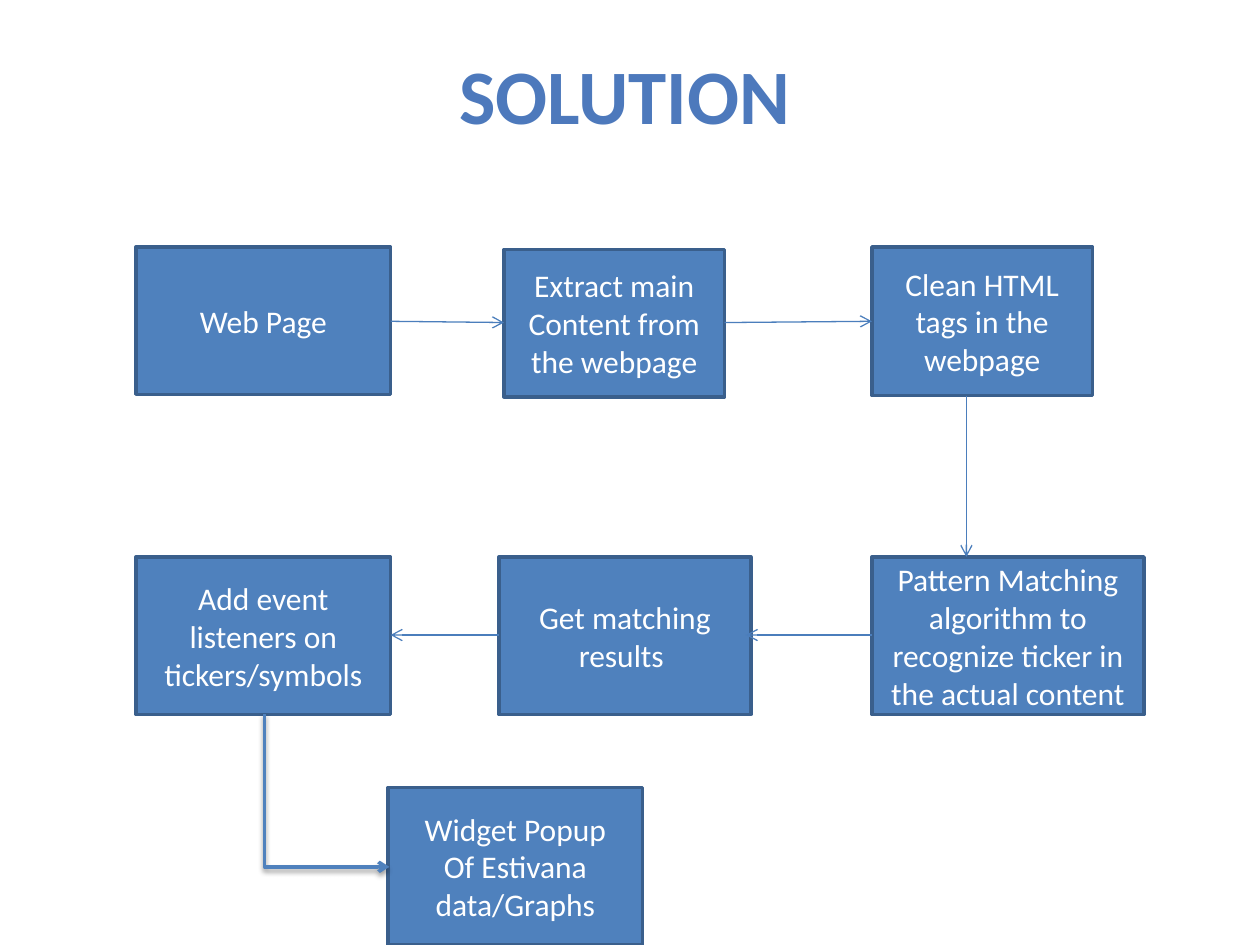
from lxml import etree
from pptx import Presentation
from pptx.dml.color import RGBColor
from pptx.enum.shapes import MSO_CONNECTOR as CONN, MSO_SHAPE as SHAPE
from pptx.enum.text import MSO_ANCHOR as ANCHOR, PP_ALIGN as ALIGN
from pptx.oxml.ns import qn
from pptx.util import Inches, Pt

BLUE = RGBColor(0x4F, 0x81, 0xBD)
EDGE = RGBColor(0x3A, 0x5F, 0x8C)
ARROW = RGBColor(0x4B, 0x7E, 0xBC)
WHITE = RGBColor(0xFF, 0xFF, 0xFF)
BLACK = RGBColor(0, 0, 0)
TITLE_STOPS = [(0, RGBColor(0x74, 0x94, 0xC9)), (49, RGBColor(0x4D, 0x79, 0xBC)),
               (50, RGBColor(0x34, 0x6A, 0xAA)), (92, RGBColor(0x32, 0x5F, 0x94)),
               (100, RGBColor(0x31, 0x5D, 0x91))]
TITLE_FONT = {"name": "Calibri", "size": Pt(44), "bold": True}
STEP_FONT = {"name": "Calibri", "size": Pt(18)}

TOP, BOTTOM = 1.96, 4.42
STEPS = [
    ((1.08, TOP, 2.02, 1.17), ["Web Page"]),
    ((4, 1.98, 1.75, 1.17), ["Extract main", "Content from the webpage"]),
    ((6.92, TOP, 1.75, 1.18), ["Clean HTML tags in the webpage"]),
    ((6.92, BOTTOM, 2.16, 1.25),
     ["Pattern Matching algorithm to recognize ticker in the actual content"]),
    ((3.96, BOTTOM, 2, 1.25), ["Get matching results "]),
    ((1.08, BOTTOM, 2.02, 1.25), ["Add event listeners on tickers/symbols"]),
    ((3.08, 6.25, 2.02, 1.25), ["Widget Popup", "Of Estivana data/Graphs"]),
]
ARROWS = [(3.1, 2.55, 4, 2.56), (5.75, 2.56, 6.92, 2.55), (7.67, 3.14, 7.67, 4.42),
          (6.92, 5.04, 5.92, 5.04), (3.96, 5.04, 3.1, 5.04)]


def add_text(tf, lines, font):
    """Fill a text frame with centred paragraphs and return the runs."""
    tf.word_wrap = True
    runs = []
    for i, line in enumerate(lines):
        p = tf.paragraphs[0] if i == 0 else tf.add_paragraph()
        p.alignment = ALIGN.CENTER
        r = p.add_run()
        r.text = line
        for key, value in font.items():
            setattr(r.font, key, value)
        runs.append(r)
    return runs


def add_title(slide, box, text):
    """Place the heading with its vertical gradient."""
    sp = slide.shapes.add_textbox(*map(Inches, box))
    r = add_text(sp.text_frame, [text], TITLE_FONT)[0]
    r.font.fill.gradient()
    r.font.fill.gradient_angle = 270
    stops = next(sp.element.iter(qn("a:gsLst")))
    for old in list(stops):
        stops.remove(old)
    for pos, color in TITLE_STOPS:
        gs = etree.SubElement(stops, qn("a:gs"), pos=str(pos * 1000))
        etree.SubElement(gs, qn("a:srgbClr"), val=str(color))


def add_step(slide, box, lines):
    """Place one process box with its label."""
    sp = slide.shapes.add_shape(SHAPE.RECTANGLE, *map(Inches, box))
    sp.shadow.inherit = False
    sp.fill.solid()
    sp.fill.fore_color.rgb = BLUE
    sp.line.color.rgb = EDGE
    sp.line.width = Pt(2)
    sp.text_frame.vertical_anchor = ANCHOR.MIDDLE
    for r in add_text(sp.text_frame, lines, STEP_FONT):
        r.font.color.rgb = WHITE


def add_arrow(slide, ends, kind=CONN.STRAIGHT, color=ARROW, width=0.75):
    """Draw an arrow and return it with its empty effect list."""
    sp = slide.shapes.add_connector(kind, *map(Inches, ends))
    sp.line.color.rgb = color
    sp.line.width = Pt(width)
    sp_pr = sp.element.spPr
    etree.SubElement(sp_pr.find(qn("a:ln")), qn("a:tailEnd"), type="arrow")
    return sp, etree.SubElement(sp_pr, qn("a:effectLst"))


def add_bent_arrow(slide, box):
    """Draw the shadowed down-then-right arrow; box is its unrotated frame."""
    x, y, w, h = box
    sp, effects = add_arrow(slide, (x + w, y, x, y + h), CONN.ELBOW, BLUE, 2)
    sp_pr = sp.element.spPr
    sp_pr.find(qn("a:xfrm")).set("rot", str(270 * 60000))
    sp_pr.find(qn("a:prstGeom")).set("prst", "bentConnector2")
    shadow = etree.SubElement(effects, qn("a:outerShdw"), blurRad=str(Pt(3.1)),
                              dist=str(Pt(1.6)), dir=str(90 * 60000), rotWithShape="0")
    color = etree.SubElement(shadow, qn("a:srgbClr"), val=str(BLACK))
    etree.SubElement(color, qn("a:alpha"), val="38000")


def build_flow_slide(prs):
    """Build the solution flow chart."""
    slide = prs.slides.add_slide(prs.slide_layouts[6])
    add_title(slide, (2.25, 0.33, 5.42, 0.84), "SOLUTION")
    for box, lines in STEPS:
        add_step(slide, box, lines)
    for ends in ARROWS:
        add_arrow(slide, ends)
    add_bent_arrow(slide, (1.99, 5.78, 1.21, 0.99))


prs = Presentation()
prs.slide_width, prs.slide_height = Inches(10), Inches(7.5)
build_flow_slide(prs)
prs.save("out.pptx")
